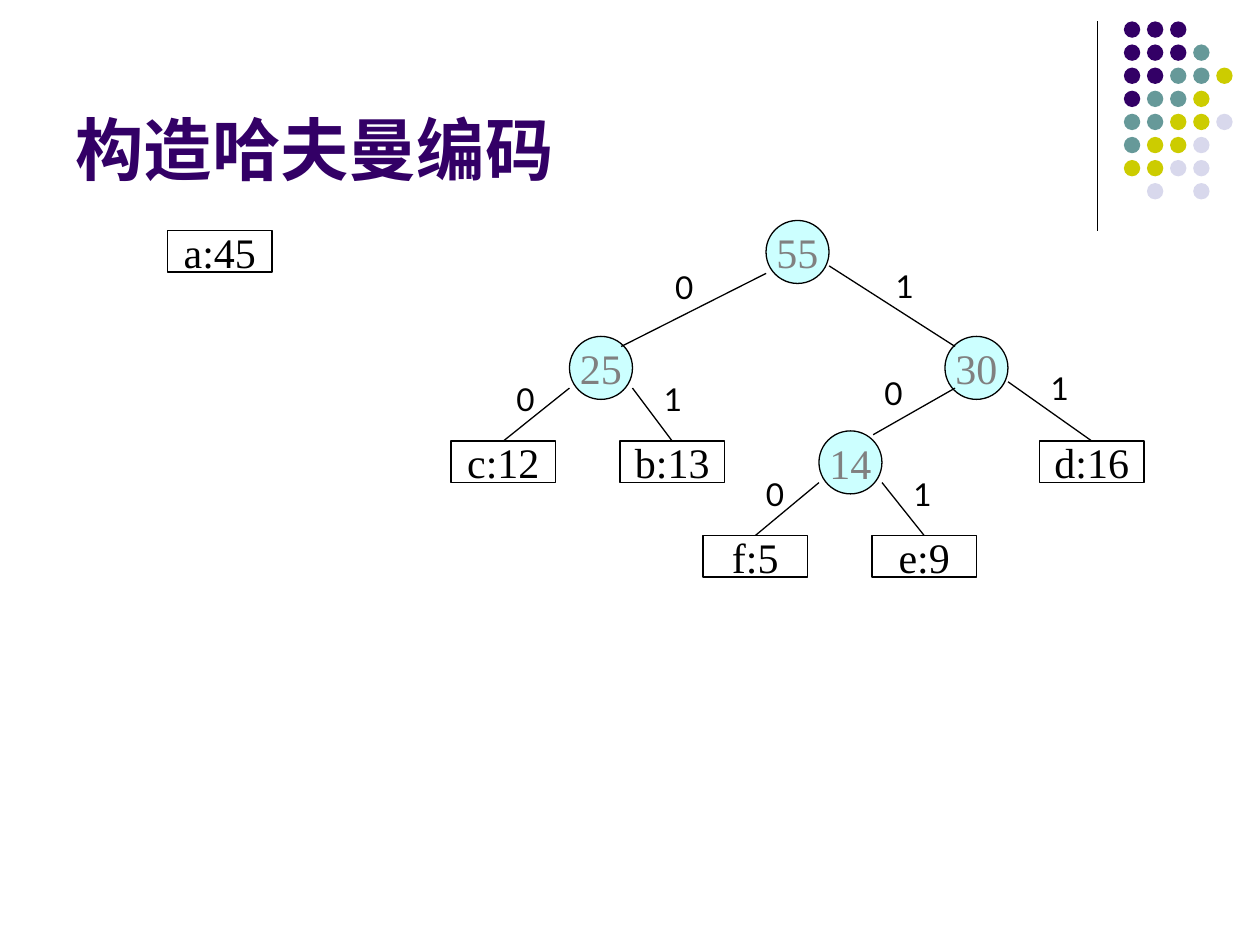
import pptx
import pptx.dml.color
import pptx.enum.shapes
import pptx.enum.text
import pptx.oxml.ns
import pptx.util
from lxml import etree
from pptx.util import Inches

RGBColor = pptx.dml.color.RGBColor
BLACK = RGBColor(0x00, 0x00, 0x00)
GRAY = RGBColor(0x80, 0x80, 0x80)
PURPLE = RGBColor(0x33, 0x00, 0x66)
TEAL = RGBColor(0x66, 0x99, 0x99)
OLIVE = RGBColor(0xCC, 0xCC, 0x00)
LAVENDER = RGBColor(0xD8, 0xD8, 0xEC)
CYAN = RGBColor(0xCC, 0xFF, 0xFF)

SHAPE = pptx.enum.shapes.MSO_SHAPE
ANCHOR = pptx.enum.text.MSO_ANCHOR
AUTO_SIZE = pptx.enum.text.MSO_AUTO_SIZE
ALIGN = pptx.enum.text.PP_ALIGN

TITLE_FONT = {"name": "Noto Sans CJK SC", "size": pptx.util.Pt(39), "bold": True}
NODE_FONT = {"name": "Times New Roman", "size": pptx.util.Pt(24)}
BIT_FONT = {"name": "Lato", "size": pptx.util.Pt(18)}


def write_text(shape, text, font_format, color, alignment):
    shape.text_frame.text = text
    paragraph = shape.text_frame.paragraphs[0]
    paragraph.alignment = alignment
    font = paragraph.runs[0].font
    for name, value in font_format.items():
        setattr(font, name, value)
    font.color.rgb = color


def draw_line(start, end):
    line = slide.shapes.add_connector(
        pptx.enum.shapes.MSO_CONNECTOR.STRAIGHT, *map(Inches, start + end))
    line.line.color.rgb = BLACK
    line.line.width = pptx.util.Pt(0.75)
    etree.SubElement(line._element.spPr, pptx.oxml.ns.qn("a:effectLst"))
    return line


presentation = pptx.Presentation()
presentation.slide_width = Inches(10)
presentation.slide_height = Inches(7.5)
slide = presentation.slides.add_slide(presentation.slide_layouts[5])

draw_line((8.71, 0.17), (8.71, 1.83))

DOT_COLORS = {"P": PURPLE, "T": TEAL, "O": OLIVE, "L": LAVENDER}
DOT_ROWS = ["PPP", "PPPT", "PPTTO", "PTTO", "TTOOL", "TOOL", "OOLL", ".L.L"]
DOT_STEP = 0.55 / 3
dots = slide.shapes.add_group_shape()
for row, letters in enumerate(DOT_ROWS):
    for column, letter in enumerate(letters):
        if letter in DOT_COLORS:
            dot = dots.shapes.add_shape(
                SHAPE.OVAL, Inches(8.92 + column * DOT_STEP),
                Inches(0.17 + row * DOT_STEP), Inches(0.13), Inches(0.13))
            dot.shadow.inherit = False
            dot.fill.solid()
            dot.fill.fore_color.rgb = DOT_COLORS[letter]
            dot.line.fill.background()

title = slide.shapes.title
title.left, title.top = Inches(0.5), Inches(0.13)
title.width, title.height = Inches(8.25), Inches(1.42)
write_text(title, "构造哈夫曼编码", TITLE_FONT, PURPLE, ALIGN.LEFT)
title.text_frame.vertical_anchor = ANCHOR.BOTTOM
title.text_frame.auto_size = AUTO_SIZE.NONE
title_run = title.text_frame.paragraphs[0].runs[0]
east_asian = etree.SubElement(title_run.font._element, pptx.oxml.ns.qn("a:ea"))
east_asian.set("typeface", TITLE_FONT["name"])

LEAVES = [
    ("a:45", 1.33, 1.83), ("c:12", 3.58, 3.5), ("b:13", 4.92, 3.5),
    ("d:16", 8.25, 3.5), ("f:5", 5.58, 4.25), ("e:9", 6.92, 4.25),
]
INNER_NODES = [("55", 6.08, 1.75), ("25", 4.52, 2.67), ("30", 7.5, 2.67), ("14", 6.5, 3.42)]
nodes = {}
for label, left, top in LEAVES + INNER_NODES:
    is_leaf = ":" in label
    width, height = (0.83, 0.33) if is_leaf else (0.5, 0.5)
    node = slide.shapes.add_shape(
        SHAPE.RECTANGLE if is_leaf else SHAPE.OVAL,
        Inches(left), Inches(top), Inches(width), Inches(height))
    node.shadow.inherit = False
    if is_leaf:
        node.fill.background()
    else:
        node.fill.solid()
        node.fill.fore_color.rgb = CYAN
    node.line.color.rgb = BLACK
    node.line.width = pptx.util.Pt(0.75)
    write_text(node, label, NODE_FONT, BLACK if is_leaf else GRAY, ALIGN.CENTER)
    node.text_frame.vertical_anchor = ANCHOR.MIDDLE
    node.text_frame.word_wrap = False
    nodes[label] = node

EDGES = [
    ("25", (4.93, 2.75), (6.08, 2.17), "0", (5.26, 2.08)),
    ("30", (7.58, 2.75), (6.58, 2.11), "1", (7.01, 2.07)),
    ("c:12", (4, 3.5), (4.52, 3.08), "0", (4, 2.97)),
    ("b:13", (5.33, 3.5), (5.02, 3.08), "1", (5.17, 2.97)),
    ("14", (6.93, 3.45), (7.58, 3.08), "0", (6.92, 2.92)),
    ("d:16", (8.67, 3.5), (8, 3.03), "1", (8.24, 2.88)),
    ("f:5", (6, 4.25), (6.5, 3.83), "0", (5.98, 3.72)),
    ("e:9", (7.33, 4.25), (7, 3.83), "1", (7.15, 3.72)),
]
for child, start, end, bit, (left, top) in EDGES:
    edge = draw_line(start, end)
    if ":" in child:
        edge.begin_connect(nodes[child], 0)
    bit_label = slide.shapes.add_textbox(Inches(left), Inches(top), Inches(0.32), Inches(0.4))
    write_text(bit_label, bit, BIT_FONT, BLACK, ALIGN.LEFT)
    bit_label.text_frame.word_wrap = False
    bit_label.text_frame.auto_size = AUTO_SIZE.SHAPE_TO_FIT_TEXT

presentation.save("out.pptx")
